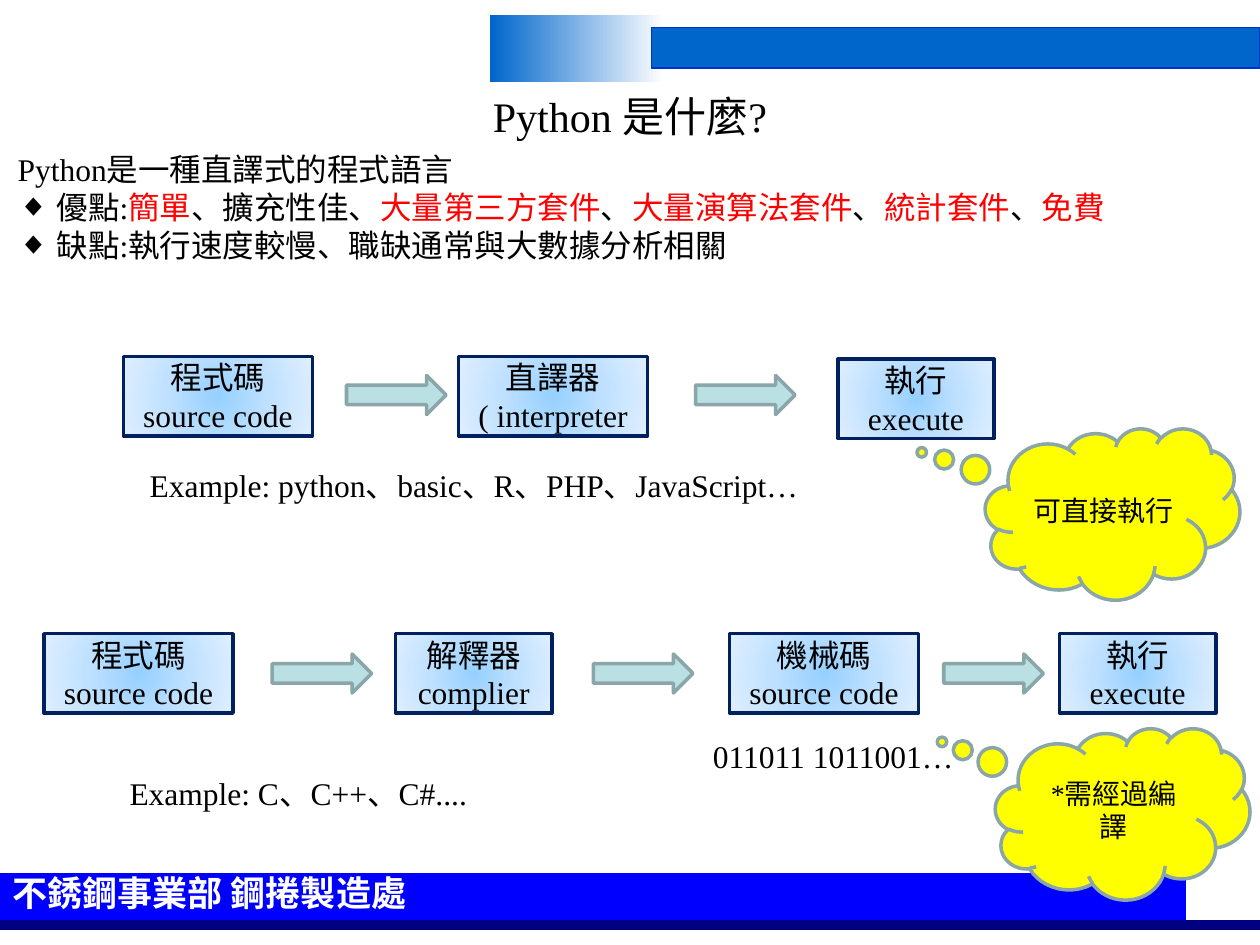
from dataclasses import dataclass

from pptx import Presentation
from pptx.dml.color import RGBColor
from pptx.enum.shapes import MSO_CONNECTOR as Connector, MSO_SHAPE as Shape
from pptx.enum.text import MSO_ANCHOR as Anchor, MSO_AUTO_SIZE as AutoSize, PP_ALIGN as Align
from pptx.oxml import parse_xml
from pptx.oxml.ns import nsdecls, qn
from pptx.util import Inches, Pt


@dataclass(frozen=True)
class Theme:
    serif: str = "Times New Roman"
    sans: str = "Arial"
    ink: str = "000000"
    accent: str = "FF0000"
    white: str = "FFFFFF"
    header: str = "0066CC"
    header_edge: str = "0033CC"
    footer: str = "0000FF"
    footer_edge: str = "000080"
    step_edge: str = "002060"
    step_glow: tuple = ((0, "96D0FF"), (50, "BFE1FF"), (100, "E0EFFF"))
    arrow: str = "BBE0E3"
    soft_edge: str = "8AA6A8"
    cloud: str = "FFFF00"
    title_size: int = 24
    footer_size: int = 20
    body_size: int = 18
    cloud_size: int = 16


THEME = Theme()
CELL = 0.1  # a grid of 100 columns by 75 rows
COLUMNS, ROWS = 100, 75
WIDE, NARROW, STEP_HEIGHT = 15, 12.4, 6.3


def grid(*cells):
    return [Inches(cell * CELL) for cell in cells]


def assign(target, values):
    for name, value in values.items():
        setattr(target, name, value)


def rgb(color):
    return RGBColor.from_string(color)


def write(paragraph, runs, size=THEME.body_size, font=THEME.serif, bold=False,
          align=Align.LEFT):
    """Fill a paragraph with (text, colour) runs."""
    assign(paragraph, {"alignment": align, "space_before": Pt(0)})
    for text, color in runs:
        run = paragraph.add_run()
        run.text = text
        assign(run.font, {"name": font, "size": Pt(size), "bold": bold})
        run.font.color.rgb = rgb(color)


def add_block(slide, kind, cells, edge, edge_width, fill=None):
    block = slide.shapes.add_shape(kind, *grid(*cells))
    block.shadow.inherit = False
    if fill:
        block.fill.solid()
        block.fill.fore_color.rgb = rgb(fill)
    block.line.color.rgb = rgb(edge)
    block.line.width = Pt(edge_width)
    return block


def center_text(block, lines, size):
    frame = block.text_frame
    assign(frame, {"word_wrap": True, "vertical_anchor": Anchor.MIDDLE})
    for number, line in enumerate(lines):
        paragraph = frame.add_paragraph() if number else frame.paragraphs[0]
        write(paragraph, [(line, THEME.ink)], size, align=Align.CENTER)


def add_radial_glow(block, stops):
    block.fill.gradient()
    gradient = block._element.spPr.find(qn("a:gradFill"))
    stop_xml = "".join(
        f'<a:gs pos="{share * 1000}"><a:srgbClr val="{color}"/></a:gs>'
        for share, color in stops)
    glow = parse_xml(
        f'<a:gradFill {nsdecls("a")} rotWithShape="1"><a:gsLst>{stop_xml}</a:gsLst>'
        '<a:path path="circle"><a:fillToRect l="50000" t="50000" r="50000" b="50000"/>'
        '</a:path></a:gradFill>')
    gradient.getparent().replace(gradient, glow)


def add_step(slide, left, top, width, lines):
    step = add_block(slide, Shape.RECTANGLE, (left, top, width, STEP_HEIGHT),
                     THEME.step_edge, 2)
    add_radial_glow(step, THEME.step_glow)
    center_text(step, lines, THEME.body_size)


def add_flow(slide, steps, arrow_top, arrow_lefts):
    for step in steps:
        add_step(slide, *step)
    for left in arrow_lefts:
        add_block(slide, Shape.RIGHT_ARROW, (left, arrow_top, 7.9, 3.1),
                  THEME.soft_edge, 2, THEME.arrow)


def add_cloud(slide, left, top, tail, text):
    cloud = add_block(slide, Shape.CLOUD_CALLOUT, (left, top, 20.2, 13.6),
                      THEME.soft_edge, 2, THEME.cloud)
    for number, offset in enumerate(tail):
        cloud.adjustments[number] = offset
    center_text(cloud, [text], THEME.cloud_size)


def add_note(slide, cells, text, color=THEME.ink, **style):
    frame = slide.shapes.add_textbox(*grid(*cells)).text_frame
    frame.word_wrap = True
    write(frame.paragraphs[0], [(text, color)], **style)
    return frame


def add_band(slide, row, end, color, width):
    band = slide.shapes.add_connector(Connector.STRAIGHT, *grid(0, row, end, row))
    band.line.color.rgb = rgb(color)
    band.line.width = Pt(width)
    band._element.spPr.append(parse_xml(f'<a:effectLst {nsdecls("a")}/>'))


def add_frame(slide):
    """Header bars and footer bands."""
    add_band(slide, 71.4, 94.1, THEME.footer, 30)
    fade = add_block(slide, Shape.RECTANGLE, (38.9, 1.2, 13.8, 5.3), THEME.header, 1)
    fade.line.fill.background()
    fade.fill.gradient()
    fade.fill.gradient_angle = 0
    for stop, color in zip(fade.fill.gradient_stops, (THEME.header, THEME.white)):
        stop.color.rgb = rgb(color)
    add_block(slide, Shape.RECTANGLE, (51.7, 2.2, 48.3, 3.2),
              THEME.header_edge, 0.75, THEME.header)
    add_band(slide, 73.4, COLUMNS, THEME.footer_edge, 6)
    department = add_note(slide, (0.2, 68.8, 43.5, 4.1), "不銹鋼事業部 鋼捲製造處",
                          THEME.white, size=THEME.footer_size, font=THEME.sans, bold=True)
    assign(department, {"margin_left": Inches(0.08), "margin_right": Inches(0.08),
                        "margin_top": Inches(0.04), "margin_bottom": Inches(0.04)})


def place(holder, cells, anchor):
    assign(holder, dict(zip(("left", "top", "width", "height"), grid(*cells))))
    assign(holder.text_frame, {"word_wrap": True, "auto_size": AutoSize.NONE,
                               "vertical_anchor": anchor})
    return holder.text_frame


def set_bullet(paragraph, mark=None):
    props = paragraph._p.get_or_add_pPr()
    indent = Inches(0.31) if mark else 0
    props.set("marL", str(indent))
    props.set("indent", str(-indent))
    tag = f'buChar {nsdecls("a")} char="{mark}"' if mark else f'buNone {nsdecls("a")}'
    props.append(parse_xml(f"<a:{tag}/>"))


def add_intro(slide):
    """Title and the list of strengths and weaknesses."""
    title = place(slide.shapes.title, (5, 6.8, 90, 4.7), Anchor.MIDDLE)
    write(title.paragraphs[0], [("Python 是什麼?", THEME.ink)], THEME.title_size,
          align=Align.CENTER)
    ink, accent = THEME.ink, THEME.accent
    points = [
        (None, [("Python是一種直譯式的程式語言", ink)]),
        ("◆", [("優點:", ink), ("簡單", accent), ("、擴充性佳、", ink),
               ("大量第三方套件", accent), ("、", ink), ("大量演算法套件", accent),
               ("、", ink), ("統計套件", accent), ("、", ink), ("免費", accent)]),
        ("◆", [("缺點:執行速度較慢、職缺通常與大數據分析相關", ink)]),
    ]
    body = place(slide.placeholders[1], (0.4, 11.4, 88.9, 10.1), Anchor.TOP)
    for number, (mark, runs) in enumerate(points):
        paragraph = body.add_paragraph() if number else body.paragraphs[0]
        write(paragraph, runs)
        set_bullet(paragraph, mark)


def main():
    deck = Presentation()
    deck.slide_width, deck.slide_height = grid(COLUMNS, ROWS)
    slide = deck.slides.add_slide(deck.slide_layouts[1])
    add_frame(slide)
    add_intro(slide)

    # Compiled languages
    source = ["程式碼", "source code"]
    add_flow(slide, [(3.5, 50.3, WIDE, source),
                     (31.4, 50.3, NARROW, ["解釋器", "complier"]),
                     (57.9, 50.3, WIDE, ["機械碼", "source code"]),
                     (84.1, 50.3, NARROW, ["執行execute"])],
             51.9, (21.6, 47.1, 74.9))
    add_note(slide, (55.6, 58, 22.6, 4), "011011 1011001…")
    add_note(slide, (9.3, 60.9, 65.7, 4), "Example: C、C++、C#....")

    # Interpreted languages
    add_flow(slide, [(9.8, 28.3, WIDE, source),
                     (36.4, 28.3, WIDE, ["直譯器( interpreter"]),
                     (66.5, 28.5, NARROW, ["執行execute"])],
             29.8, (27.5, 55.2))
    add_note(slide, (10.9, 36.5, 65.7, 4), "Example: python、basic、R、PHP、JavaScript…")

    # Remarks
    add_cloud(slide, 78.2, 34, (-0.75, -0.36), "可直接執行")
    add_cloud(slide, 79, 57.8, (-0.71, -0.42), "*需經過編譯")
    deck.save("out.pptx")


if __name__ == "__main__":
    main()
